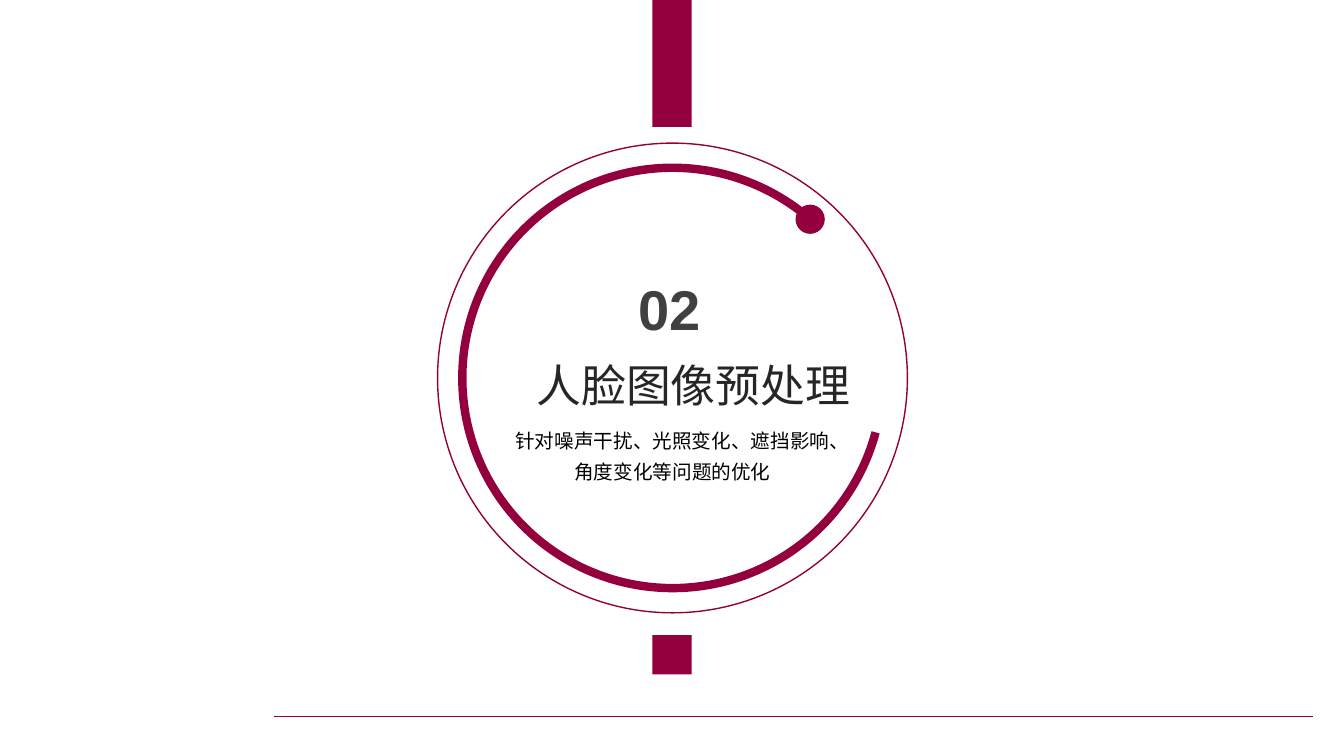
import pptx
import pptx.util
import pptx.dml.color
import pptx.enum.shapes
import pptx.enum.text
import pptx.oxml.ns
import lxml.etree

Inches = pptx.util.Inches
Pt = pptx.util.Pt
RGBColor = pptx.dml.color.RGBColor
Shape = pptx.enum.shapes.MSO_SHAPE
Align = pptx.enum.text.PP_ALIGN
Anchor = pptx.enum.text.MSO_ANCHOR
Fit = pptx.enum.text.MSO_AUTO_SIZE

WINE = RGBColor(0x94, 0x00, 0x3E)
DARK = RGBColor(0x26, 0x26, 0x26)
GREY = RGBColor(0x40, 0x40, 0x40)
BLACK = RGBColor(0, 0, 0)


def place(item, left, top, width, height):
    item.left, item.top = Inches(left), Inches(top)
    item.width, item.height = Inches(width), Inches(height)


def draw(slide, kind, left, top, width, height, line=0):
    shape = slide.shapes.add_shape(
        kind, Inches(left), Inches(top), Inches(width), Inches(height))
    shape.shadow.inherit = False
    if line:
        shape.fill.background()
        shape.line.color.rgb = WINE
        shape.line.width = Pt(line)
    else:
        shape.fill.solid()
        shape.fill.fore_color.rgb = WINE
        shape.line.fill.background()
    return shape


def write(item, text, size, color, bold=False, align=Align.LEFT, wrap=False, space=1.0):
    frame = item.text_frame
    frame.word_wrap = wrap
    frame.auto_size = Fit.SHAPE_TO_FIT_TEXT
    frame.vertical_anchor = Anchor.TOP
    para = frame.paragraphs[0]
    para.alignment = align
    para.line_spacing = space
    para.space_before = Pt(0)
    run = para.add_run()
    run.text = text
    run.font.name = "Arial"
    run.font.size = Pt(size)
    run.font.bold = bold
    run.font.color.rgb = color


def add_rule(slide, left, top, width):
    rule = slide.shapes.add_connector(
        pptx.enum.shapes.MSO_CONNECTOR.STRAIGHT,
        Inches(left), Inches(top), Inches(left + width), Inches(top))
    rule.line.color.rgb = WINE
    rule.line.width = Pt(1)
    props = rule.element.find(pptx.oxml.ns.qn("p:spPr"))
    lxml.etree.SubElement(props, pptx.oxml.ns.qn("a:effectLst"))


def add_bars(slide, left, width):
    for top, height in ((0, 1.26), (6.3, width)):
        draw(slide, Shape.RECTANGLE, left, top, width, height)


def add_ring(slide, left, top, size):
    inset = 0.245
    draw(slide, Shape.OVAL, left, top, size, size, 1)
    inner = size - 2 * inset
    arc = draw(slide, Shape.ARC, left + inset, top + inset, inner, inner, 6)
    arc.adjustments[0] = 162
    arc.adjustments[1] = 123.11
    arc.rotation = 105
    draw(slide, Shape.OVAL, left + 3.55, top + 0.61, 0.29, 0.29)


def add_text(slide, left, top):
    title, note = slide.shapes.title, slide.placeholders[1]
    place(title, left + 0.88, top + 2.08, 3.34, 0.64)
    write(title, "人脸图像预处理", 32, DARK)
    place(note, left + 0.67, top + 2.72, 3.32, 0.69)
    write(note, "针对噪声干扰、光照变化、遮挡影响、角度变化等问题的优化", 14, BLACK,
          align=Align.CENTER, wrap=True, space=1.3)
    number = slide.shapes.add_textbox(
        Inches(left + 1.89), Inches(top + 1.25), Inches(0.83), Inches(0.77))
    write(number, "02", 40, GREY, bold=True)


def main():
    deck = pptx.Presentation()
    deck.slide_width, deck.slide_height = Inches(13.33), Inches(7.5)
    slide = deck.slides.add_slide(deck.slide_layouts[0])
    add_rule(slide, 2.72, 7.11, 10.3)
    add_ring(slide, 4.34, 1.42, 4.66)
    add_text(slide, 4.34, 1.42)
    add_bars(slide, 6.47, 0.39)
    deck.save("out.pptx")


if __name__ == "__main__":
    main()
